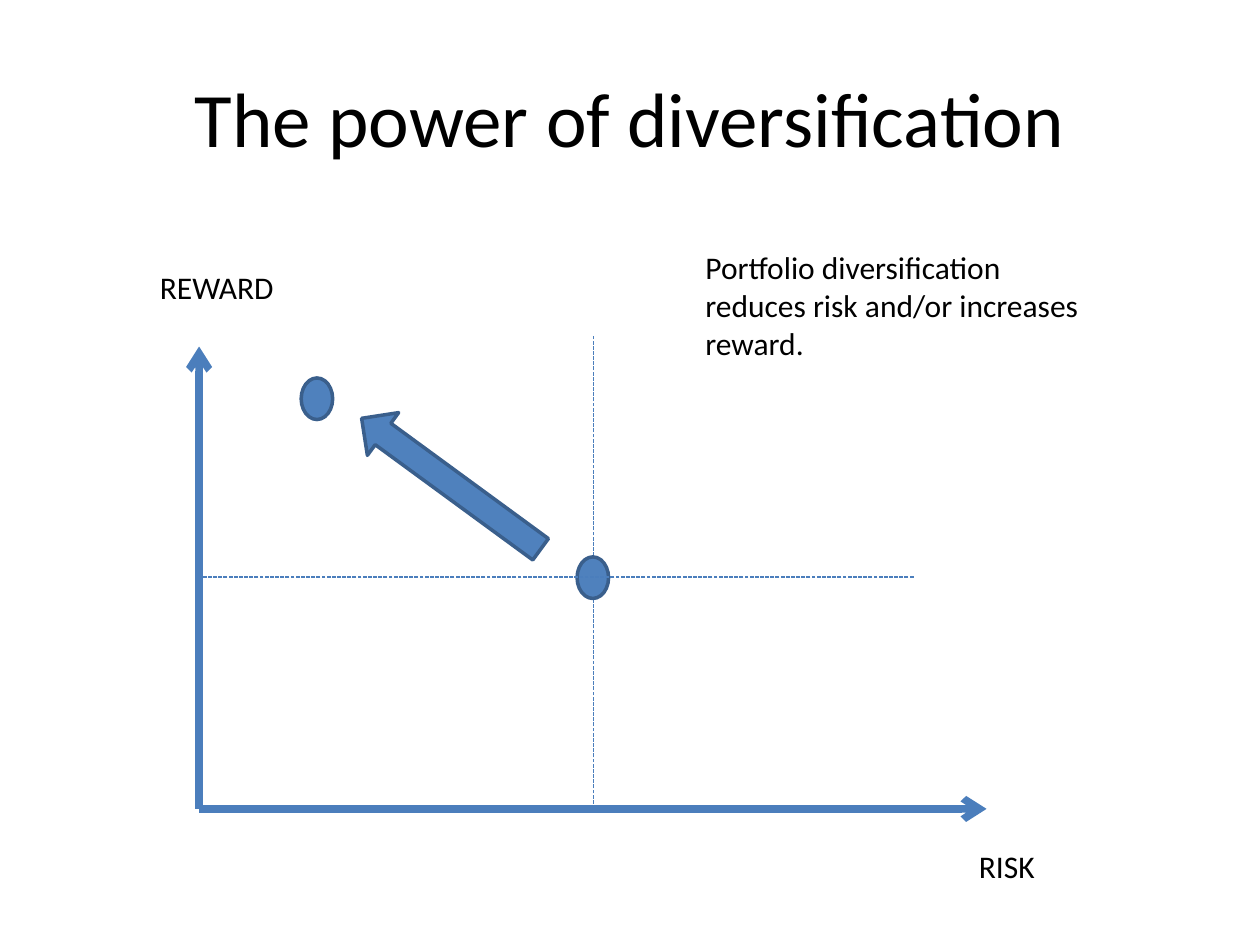
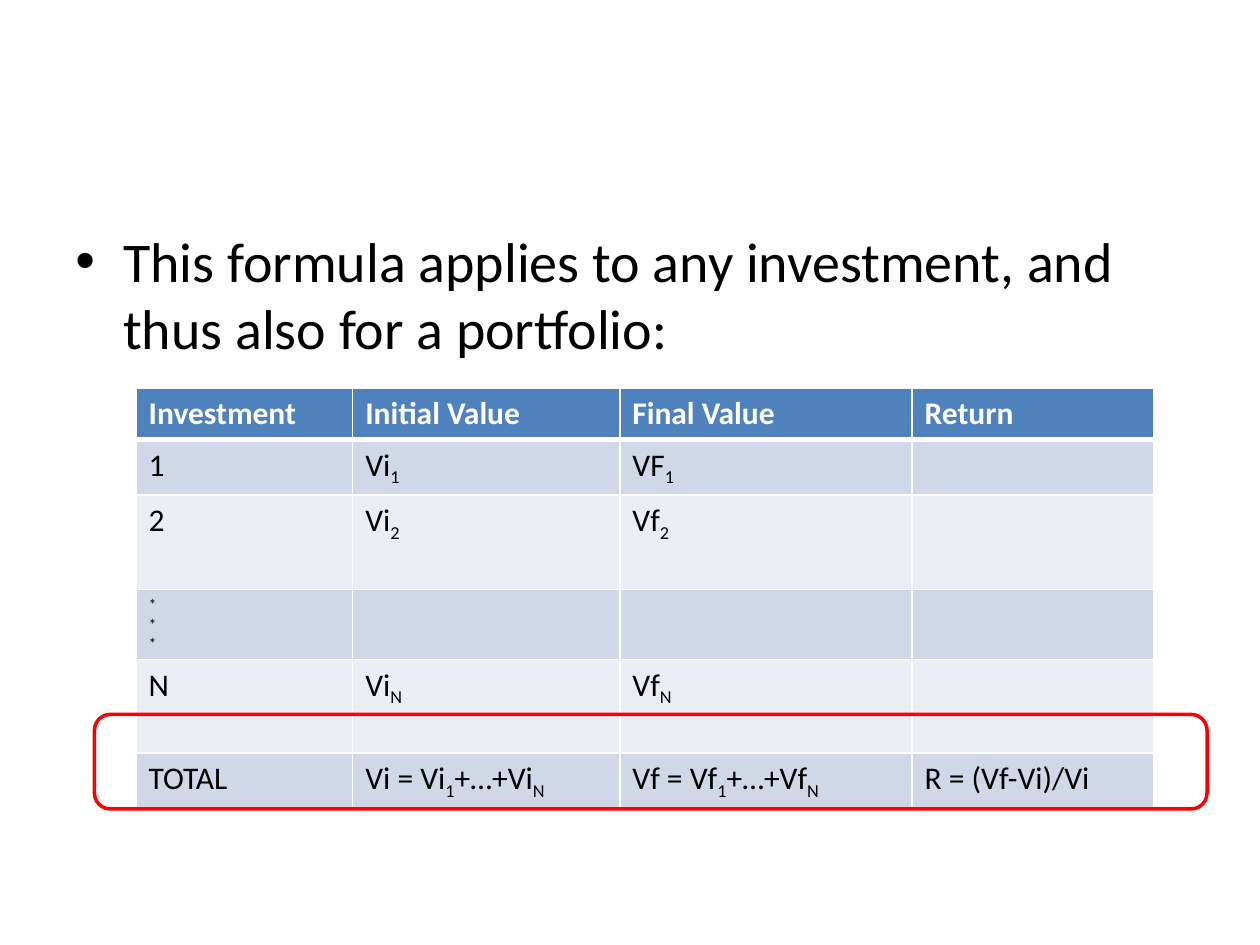
from dataclasses import dataclass

from lxml.etree import SubElement
from pptx import Presentation
from pptx.dml.color import RGBColor
from pptx.enum.dml import MSO_LINE_DASH_STYLE as Dash
from pptx.enum.shapes import MSO_CONNECTOR, MSO_SHAPE as Preset
from pptx.enum.text import MSO_ANCHOR as Anchor, MSO_AUTO_SIZE as AutoSize, PP_ALIGN as Align
from pptx.oxml.ns import qn
from pptx.util import Inches, Pt


@dataclass(frozen=True)
class Theme:
    font: str = "Calibri"
    title_size: float = 44
    bullet_size: float = 32
    text_size: float = 18
    dots_size: float = 9
    black: str = "000000"
    white: str = "FFFFFF"
    accent: str = "4F81BD"
    outline: str = "3A5F8C"
    axis: str = "4B7EBC"
    highlight: str = "FF0000"
    bands: tuple = ("D0D8E8", "E9EDF4")


THEME = Theme()
ORIGIN_X, ORIGIN_Y = 1.58, 6.42
ASSET_X, ASSET_Y = 4.71, 4.58
COLUMN_WIDTHS = (1.72, 2.12, 2.32, 1.92)
ROW_HEIGHTS = (0.41, 0.44, 0.75, 0.55, 0.74, 0.44)
RETURNS = (
    ("Investment", "Initial Value", "Final Value", "Return"),
    ("1", "Vi_1", "VF_1", ""),
    ("2", "Vi_2", "Vf_2", ""),
    ("*\n*\n*", "", "", ""),
    ("N", "Vi_N", "Vf_N", ""),
    ("TOTAL", "Vi = Vi_1_+…+Vi_N", "Vf = Vf_1_+…+Vf_N", "R = (Vf-Vi)/Vi"),
)


def color(value):
    return RGBColor.from_string(value)


def add_run(paragraph, text, size=THEME.text_size, ink=THEME.black, bold=False):
    run = paragraph.add_run()
    run.text = text
    run.font.name = THEME.font
    run.font.size = Pt(size)
    run.font.bold = bold
    run.font.color.rgb = color(ink)
    return run


def add_text(slide, box, text, size=THEME.text_size, align=Align.LEFT,
             anchor=Anchor.TOP, auto_size=AutoSize.NONE):
    shape = slide.shapes.add_textbox(*map(Inches, box))
    frame = shape.text_frame
    frame.word_wrap = True
    frame.auto_size = auto_size
    frame.vertical_anchor = anchor
    paragraph = frame.paragraphs[0]
    paragraph.alignment = align
    add_run(paragraph, text, size)
    return paragraph


def add_label(slide, box, text):
    add_text(slide, box, text, auto_size=AutoSize.SHAPE_TO_FIT_TEXT)


def add_bullet(slide, box, text):
    paragraph = add_text(slide, box, text, THEME.bullet_size)
    paragraph.space_before = Pt(0.2 * THEME.bullet_size)
    properties = paragraph._p.get_or_add_pPr()
    properties.set("marL", str(Inches(0.38)))
    properties.set("indent", str(Inches(-0.38)))
    SubElement(properties, qn("a:buFont"), typeface="Arial")
    SubElement(properties, qn("a:buChar"), char="•")


def add_line(slide, start, end, width, dash=None, arrow=False):
    connector = slide.shapes.add_connector(
        MSO_CONNECTOR.STRAIGHT, *map(Inches, (*start, *end)))
    connector.line.color.rgb = color(THEME.axis)
    connector.line.width = Pt(width)
    if dash:
        connector.line.dash_style = dash
    if arrow:
        SubElement(connector.line._get_or_add_ln(), qn("a:tailEnd"), type="arrow")
    SubElement(connector._element.spPr, qn("a:effectLst"))


def add_axis(slide, end):
    add_line(slide, (ORIGIN_X, ORIGIN_Y), end, 4.25, arrow=True)


def add_guide(slide, start, end):
    add_line(slide, start, end, 0.75, dash=Dash.SQUARE_DOT)
    

def add_preset(slide, preset, box, outline, fill=None):
    shape = slide.shapes.add_shape(preset, *map(Inches, box))
    shape.shadow.inherit = False
    shape.line.color.rgb = color(outline)
    shape.line.width = Pt(2)
    if fill:
        shape.fill.solid()
        shape.fill.fore_color.rgb = color(fill)
    else:
        shape.fill.background()
    return shape


def add_asset(slide, left, top):
    add_preset(slide, Preset.OVAL, (left, top, 0.25, 0.33), THEME.outline, THEME.accent)


def style_cell(cell, row):
    widths = {
        "lnL": 1,
        "lnR": 1,
        "lnT": 3 if row == 1 else 1,
        "lnB": 3 if row == 0 else 1,
    }
    properties = cell._tc.get_or_add_tcPr()
    for side, width in widths.items():
        border = SubElement(properties, qn(f"a:{side}"), w=str(Pt(width)))
        SubElement(SubElement(border, qn("a:solidFill")), qn("a:srgbClr"), val=THEME.white)
    cell.fill.solid()
    cell.fill.fore_color.rgb = color(THEME.bands[(row - 1) % 2] if row else THEME.accent)


def fill_cell(cell, row, text):
    frame = cell.text_frame
    lines = text.split("\n")
    size = THEME.dots_size if len(lines) > 1 else THEME.text_size
    ink = THEME.black if row else THEME.white
    for number, line in enumerate(lines):
        paragraph = frame.add_paragraph() if number else frame.paragraphs[0]
        for position, part in enumerate(line.split("_")):
            if part:
                run = add_run(paragraph, part, size, ink, bold=row == 0)
                if position % 2:
                    run.font._element.set("baseline", "-25000")


def add_returns_table(slide, left, top):
    box = (left, top, sum(COLUMN_WIDTHS), sum(ROW_HEIGHTS))
    table = slide.shapes.add_table(
        len(RETURNS), len(COLUMN_WIDTHS), *map(Inches, box)).table
    table.horz_banding = False
    for column, width in zip(table.columns, COLUMN_WIDTHS):
        column.width = Inches(width)
    for row, height in enumerate(ROW_HEIGHTS):
        table.rows[row].height = Inches(height)
        for column, text in enumerate(RETURNS[row]):
            cell = table.cell(row, column)
            style_cell(cell, row)
            fill_cell(cell, row, text)


def build_diversification(slide):
    add_guide(slide, (ASSET_X, ORIGIN_Y), (ASSET_X, 2.67))
    add_text(slide, (0.5, 0.3, 9, 1.25), "The power of diversification",
             THEME.title_size, Align.CENTER, Anchor.MIDDLE)
    add_axis(slide, (7.83, ORIGIN_Y))
    add_axis(slide, (ORIGIN_X, 2.75))
    add_label(slide, (7.67, 6.67, 1.42, 0.4), "RISK")
    add_label(slide, (1.17, 2.08, 1.42, 0.4), "REWARD")
    add_asset(slide, 4.58, 4.42)
    add_guide(slide, (7.25, ASSET_Y), (ORIGIN_X, ASSET_Y))
    add_asset(slide, 2.39, 3)
    arrow = add_preset(slide, Preset.DOWN_ARROW, (3.37, 2.96, 0.42, 1.76),
                       THEME.outline, THEME.accent)
    arrow.rotation = 126.2
    add_label(slide, (5.5, 1.92, 3.25, 1.01),
              "Portfolio diversification reduces risk and/or increases reward.")


def build_portfolio_return(slide):
    add_bullet(slide, (0.5, 1.75, 9, 4.95),
               "This formula applies to any investment, and thus also for a portfolio:")
    add_returns_table(slide, 1.08, 3.08)
    add_preset(slide, Preset.ROUNDED_RECTANGLE, (0.75, 5.67, 8.83, 0.75), THEME.highlight)


def main():
    presentation = Presentation()
    presentation.slide_width = Inches(10)
    presentation.slide_height = Inches(7.5)
    blank = presentation.slide_layouts[6]
    for build in (build_diversification, build_portfolio_return):
        build(presentation.slides.add_slide(blank))
    presentation.save("out.pptx")


main()
